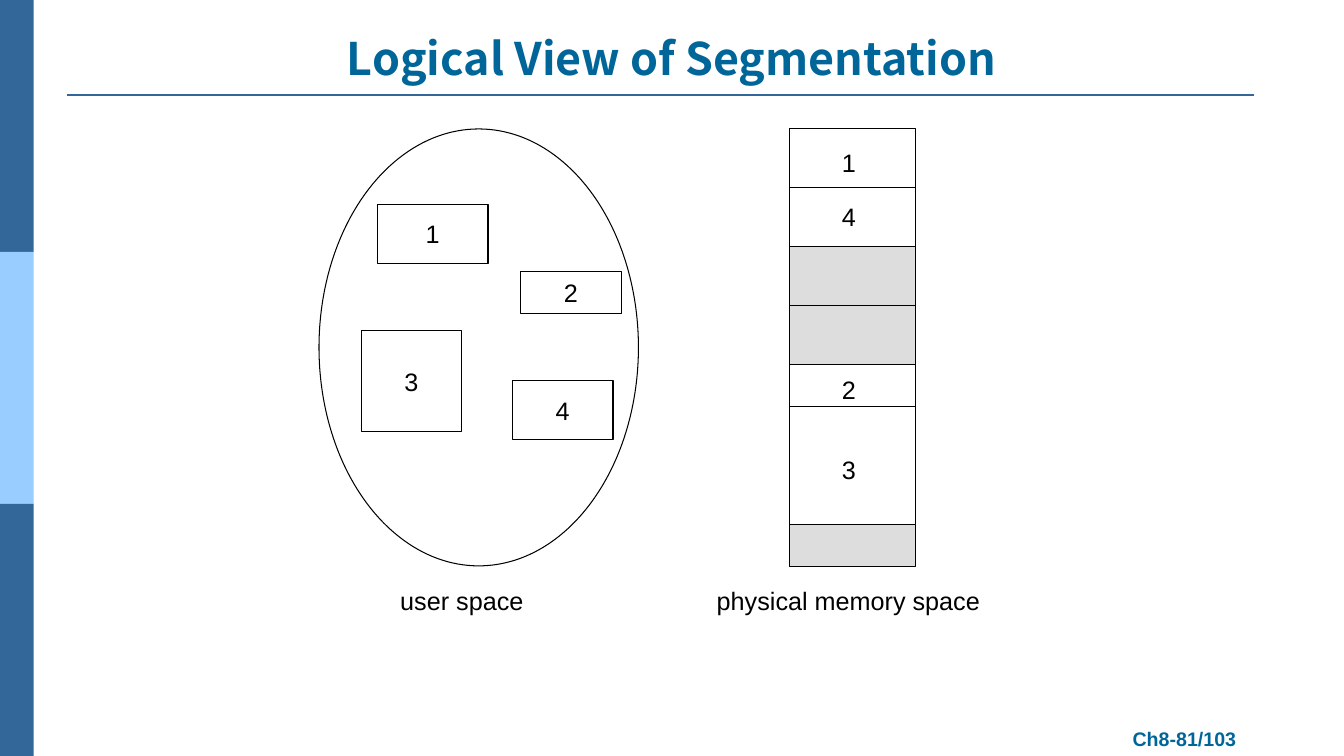
from lxml import etree
from pptx import Presentation
from pptx import util as u
from pptx.dml import color
from pptx.enum import shapes, text
from pptx.oxml import ns

COLOURS = {
    "bar": "336699",
    "light bar": "99CCFF",
    "heading": "006699",
    "ink": "000000",
    "paper": "FFFFFF",
    "free": "DDDDDD",
}
MEMORY_LEFT, MEMORY_TOP, MEMORY_WIDTH = 19.9, 3.25, 3.18


def rgb(name):
    return color.RGBColor.from_string(COLOURS[name])


def write(shape, words, size=18, colour="ink", bold=False, font="Arial",
          anchor=text.MSO_ANCHOR.MIDDLE, wrap=False):
    frame = shape.text_frame
    frame.word_wrap = wrap
    frame.vertical_anchor = anchor
    paragraph = frame.paragraphs[0]
    paragraph.alignment = text.PP_ALIGN.CENTER
    run = paragraph.add_run()
    run.text = words
    run.font.name = font
    run.font.size = u.Pt(size)
    run.font.bold = bold
    run.font.color.rgb = rgb(colour)


def add_block(slide, left, top, width, height, fill="paper", outlined=True,
              kind=shapes.MSO_SHAPE.RECTANGLE):
    shape = slide.shapes.add_shape(
        kind, u.Cm(left), u.Cm(top), u.Cm(width), u.Cm(height))
    shape.shadow.inherit = False
    shape.fill.solid()
    shape.fill.fore_color.rgb = rgb(fill)
    if outlined:
        shape.line.color.rgb = rgb("ink")
        shape.line.width = u.Pt(0.75)
    else:
        shape.line.fill.background()
    return shape


def add_rule(slide, left, top, width, colour="ink", weight=0.75):
    rule = slide.shapes.add_connector(
        shapes.MSO_CONNECTOR.STRAIGHT,
        u.Cm(left), u.Cm(top), u.Cm(left + width), u.Cm(top))
    rule.line.color.rgb = rgb(colour)
    rule.line.width = u.Pt(weight)
    etree.SubElement(rule._element.spPr, ns.qn("a:effectLst"))


def add_label(slide, left, top, width, height, words, **style):
    box = slide.shapes.add_textbox(
        u.Cm(left), u.Cm(top), u.Cm(width), u.Cm(height))
    write(box, words, **style)


def add_title(slide, words):
    title = slide.shapes.title
    title.left, title.top = u.Cm(1.69), u.Cm(0.66)
    title.width, title.height = u.Cm(30.48), u.Cm(1.6)
    write(title, words, size=32, colour="heading", bold=True,
          font="Noto Sans CJK SC", anchor=text.MSO_ANCHOR.BOTTOM, wrap=True)


def add_frame(slide):
    for index, fill in enumerate(["bar", "light bar", "bar"]):
        add_block(slide, 0, index * 6.35, 0.85, 6.35, fill, outlined=False)
    add_rule(slide, 1.69, 2.4, 29.9, "bar", 1.5)
    add_label(slide, 28.25, 18.19, 3.2, 0.86, "Ch8-81/103",
              size=14, colour="heading", bold=True)


def add_user_space(slide):
    add_block(slide, 8.04, 3.25, 8.05, 11.01, kind=shapes.MSO_SHAPE.OVAL)
    segments = [
        ("1", 9.51, 5.15, 2.79, 1.48),
        ("3", 9.1, 8.33, 2.54, 2.54),
        ("2", 13.12, 6.85, 2.54, 1.06),
        ("4", 12.91, 9.6, 2.54, 1.48),
    ]
    for number, *place in segments:
        write(add_block(slide, *place), number)
    add_label(slide, 9.75, 14.61, 3.78, 1.02, "user space")


def add_physical_memory(slide):
    top = MEMORY_TOP
    for height, divider, fill in [(2.97, 1.48, "paper"), (2.97, 1.48, "free"),
                                  (4.02, 1.06, "paper"), (1.06, None, "free")]:
        add_block(slide, MEMORY_LEFT, top, MEMORY_WIDTH, height, fill)
        if divider:
            add_rule(slide, MEMORY_LEFT, top + divider, MEMORY_WIDTH)
        top += height
    for number, label_top in [("1", 3.58), ("4", 4.95), ("2", 9.3), ("3", 11.33)]:
        add_label(slide, 20.96, label_top, 0.86, 1.02, number)
    add_label(slide, 17.81, 14.61, 7.14, 1.02, "physical memory space")


def main():
    presentation = Presentation()
    presentation.slide_width = u.Cm(33.87)
    presentation.slide_height = u.Cm(19.05)
    slide = presentation.slides.add_slide(presentation.slide_layouts[5])
    add_frame(slide)
    add_title(slide, "Logical View of Segmentation")
    add_user_space(slide)
    add_physical_memory(slide)
    presentation.save("out.pptx")


if __name__ == "__main__":
    main()
